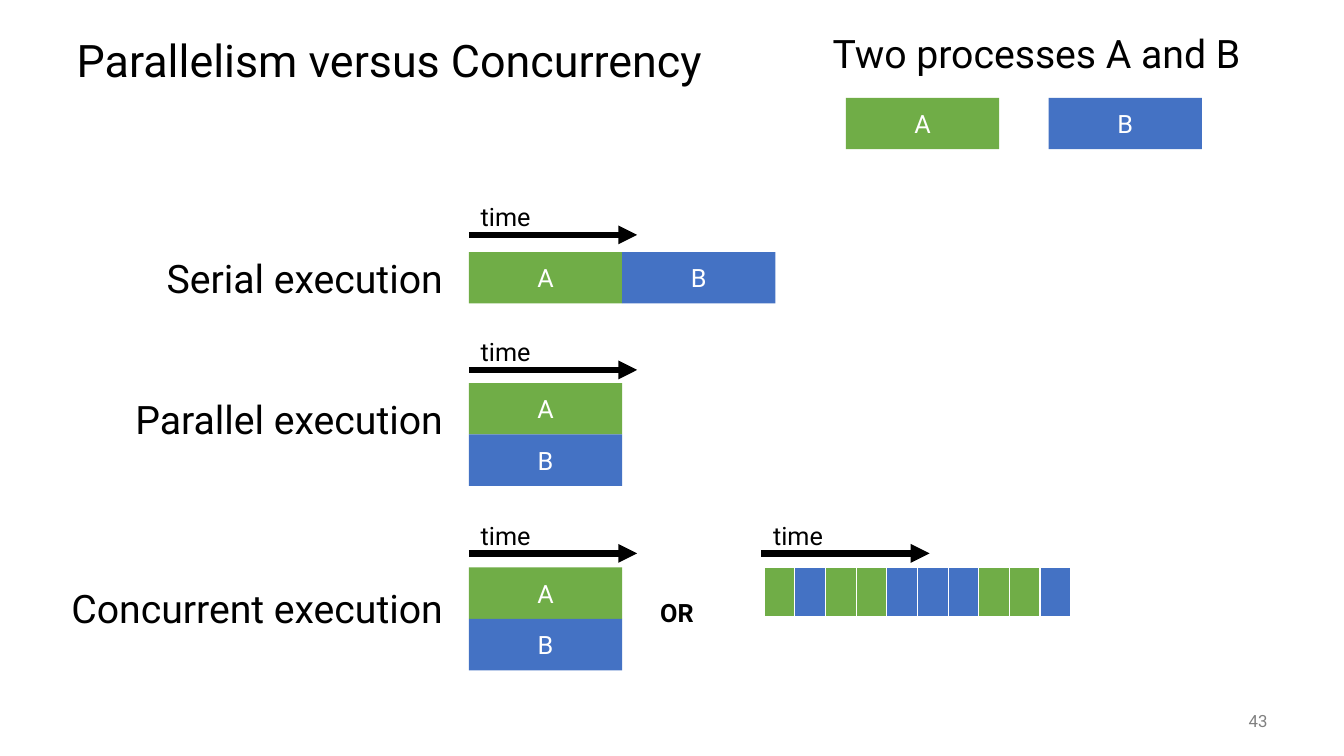
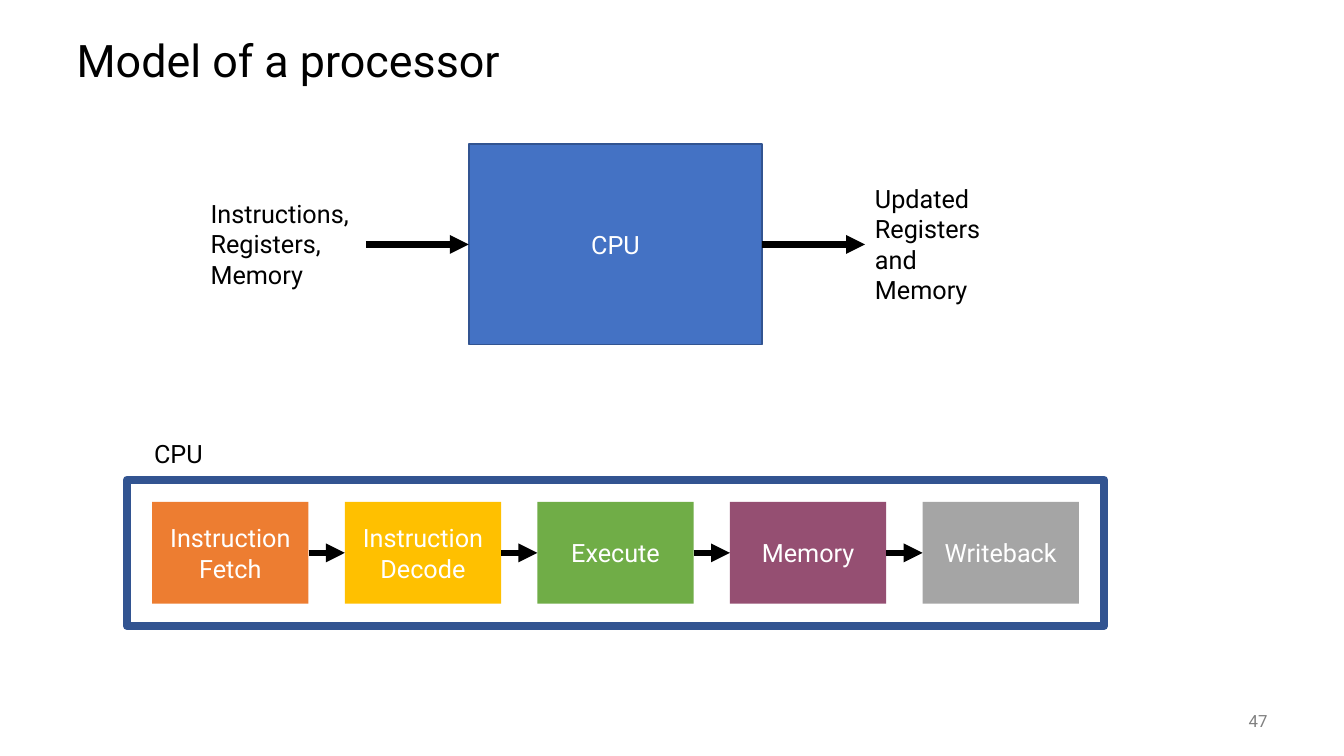
from lxml.etree import SubElement
from pptx import Presentation
from pptx.dml.color import RGBColor
from pptx.enum.shapes import MSO_CONNECTOR, MSO_SHAPE
from pptx.enum.text import MSO_ANCHOR as Anchor, PP_ALIGN as Align
from pptx.oxml.ns import qn
from pptx.util import Inches, Pt

FONT = "Roboto"
BLACK, WHITE, GRAY = "000000", "FFFFFF", "808080"
GREEN, BLUE, NAVY = "70AD47", "4472C4", "325491"
PROCESS_COLORS = {"A": GREEN, "B": BLUE}
BAR_W, BAR_H = 1.52, 0.51
LEGEND_LEFT, LEGEND_TOP, LEGEND_STEP = 8.39, 0.97, 2.01
BARS_LEFT = 4.65
LABEL_H = 0.6

EXECUTIONS = [
    {"label": "Serial execution", "middle": 2.76, "time": 2.33, "top": 2.5, "step": (BAR_W, 0)},
    {"label": "Parallel execution", "middle": 4.16, "time": 3.67, "top": 3.8, "step": (0, BAR_H)},
    {"label": "Concurrent execution", "middle": 6.03, "time": 5.49, "top": 5.63, "step": (0, BAR_H)},
]
INTERLEAVING = "ABAABBBAAB"

INPUTS = ["Instructions,", "Registers,", "Memory"]
OUTPUTS = ["Updated", "Registers and", "Memory"]
STAGES = [
    ("Instruction Fetch", "ED7D31"),
    ("Instruction Decode", "FFC000"),
    ("Execute", GREEN),
    ("Memory", "954F72"),
    ("Writeback", "A5A5A5"),
]
STAGE_LEFT, STAGE_STEP = 1.51, 1.91


def rgb(color):
    return RGBColor.from_string(color)


def place(left, top, width, height):
    return [Inches(value) for value in (left, top, width, height)]


def write(frame, lines, size, color=BLACK, align=Align.LEFT, anchor=Anchor.TOP,
          bold=False, spacing=None):
    frame.word_wrap = True
    frame.vertical_anchor = anchor
    frame.text = "\n".join(lines)
    for paragraph in frame.paragraphs:
        paragraph.alignment = align
        if spacing:
            paragraph.line_spacing = spacing
        for run in paragraph.runs:
            run.font.name = FONT
            run.font.size = Pt(size)
            run.font.bold = bold
            run.font.color.rgb = rgb(color)


def add_text(slide, lines, box, size=18, **style):
    label = slide.shapes.add_textbox(*place(*box))
    write(label.text_frame, lines, size, **style)
    return label


def add_block(slide, box, fill=None, text="", line=None, line_width=1):
    block = slide.shapes.add_shape(MSO_SHAPE.RECTANGLE, *place(*box))
    block.shadow.inherit = False
    if fill:
        block.fill.solid()
        block.fill.fore_color.rgb = rgb(fill)
    else:
        block.fill.background()
    if line:
        block.line.color.rgb = rgb(line)
        block.line.width = Pt(line_width)
    else:
        block.line.fill.background()
    if text:
        write(block.text_frame, [text], 18, WHITE, Align.CENTER, Anchor.MIDDLE)
    return block


def add_arrow(slide, left=0, right=0, y=0):
    arrow = slide.shapes.add_connector(
        MSO_CONNECTOR.STRAIGHT, Inches(left), Inches(y), Inches(right), Inches(y))
    arrow.line.color.rgb = rgb(BLACK)
    arrow.line.width = Pt(4.5)
    properties = arrow._element.spPr
    SubElement(properties.find(qn("a:ln")), qn("a:tailEnd"), type="triangle")
    SubElement(properties, qn("a:effectLst"))
    return arrow


def link(slide, source, target):
    arrow = add_arrow(slide)
    arrow.begin_connect(source, 3)
    arrow.end_connect(target, 1)


def add_time_axis(slide, left, y):
    add_arrow(slide, left, left + 1.67, y)
    add_text(slide, ["time"], (left + 0.02, y - 0.38, 0.77, 0.4))


def add_processes(slide, left, top, step):
    for index, (process, color) in enumerate(PROCESS_COLORS.items()):
        box = (left + index * step[0], top + index * step[1], BAR_W, BAR_H)
        add_block(slide, box, color, process)


def add_interleaving(slide, box):
    timeline = slide.shapes.add_table(1, len(INTERLEAVING), *place(*box)).table
    for column, cell, process in zip(timeline.columns, timeline.rows[0].cells, INTERLEAVING):
        column.width = Inches(box[2] / len(INTERLEAVING))
        for side, width in (("L", 1), ("R", 1), ("T", 1), ("B", 3)):
            border = SubElement(cell._tc.get_or_add_tcPr(), qn(f"a:ln{side}"), w=str(Pt(width)))
            SubElement(SubElement(border, qn("a:solidFill")), qn("a:srgbClr"), val=WHITE)
        cell.fill.solid()
        cell.fill.fore_color.rgb = rgb(PROCESS_COLORS[process])


def add_slide(deck, title, number):
    slide = deck.slides.add_slide(deck.slide_layouts[5])
    heading = slide.shapes.title
    heading.left, heading.top, heading.width, heading.height = place(0.66, 0.25, 12, 0.75)
    write(heading.text_frame, [title], 32, anchor=Anchor.MIDDLE, spacing=0.9)
    add_text(slide, [number], (11.67, 6.95, 1, 0.4), 12,
             color=GRAY, align=Align.RIGHT, anchor=Anchor.MIDDLE)
    return slide


def build_concurrency(deck):
    slide = add_slide(deck, "Parallelism versus Concurrency", "43")
    add_text(slide, ["Two processes A and B"], (8.16, 0.29, 4.68, 0.6), 28, spacing=0.9)
    add_processes(slide, LEGEND_LEFT, LEGEND_TOP, (LEGEND_STEP, 0))
    for execution in EXECUTIONS:
        add_text(slide, [execution["label"]],
                 (0.5, execution["middle"] - LABEL_H / 2, 3.99, LABEL_H), 28,
                 align=Align.RIGHT, anchor=Anchor.MIDDLE)
        add_time_axis(slide, BARS_LEFT, execution["time"])
        add_processes(slide, BARS_LEFT, execution["top"], execution["step"])
    add_text(slide, ["OR"], (6.45, 5.88, 0.96, 0.4), bold=True)
    add_time_axis(slide, 7.55, EXECUTIONS[-1]["time"])
    add_interleaving(slide, (7.58, 5.63, 3.04, 0.5))


def build_processor(deck):
    slide = add_slide(deck, "Model of a processor", "47")
    inputs = add_text(slide, INPUTS, (1.99, 1.92, 1.64, 1.01))
    cpu = add_block(slide, (4.65, 1.43, 2.91, 1.99), BLUE, "CPU", NAVY)
    outputs = add_text(slide, OUTPUTS, (8.58, 1.77, 1.64, 1.31))
    link(slide, inputs, cpu)
    link(slide, cpu, outputs)

    add_text(slide, ["CPU"], (1.43, 4.3, 1.64, 0.4))
    add_block(slide, (1.26, 4.76, 9.69, 1.45), line=NAVY, line_width=6)
    stages = [
        add_block(slide, (STAGE_LEFT + index * STAGE_STEP, 4.98, 1.55, 1.01), color, name)
        for index, (name, color) in enumerate(STAGES)
    ]
    for stage, following in zip(stages, stages[1:]):
        link(slide, stage, following)


def main():
    deck = Presentation()
    deck.slide_width, deck.slide_height = Inches(13.33), Inches(7.5)
    build_concurrency(deck)
    build_processor(deck)
    deck.save("out.pptx")


if __name__ == "__main__":
    main()
